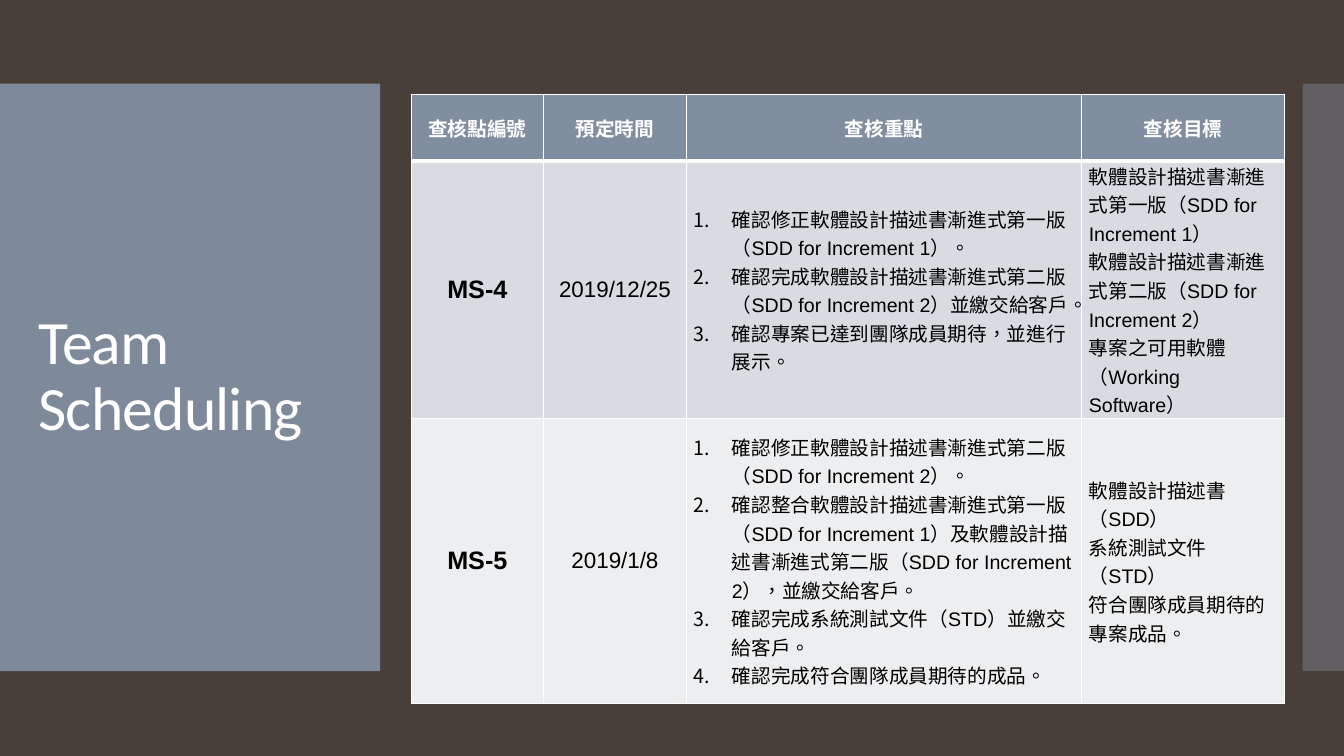
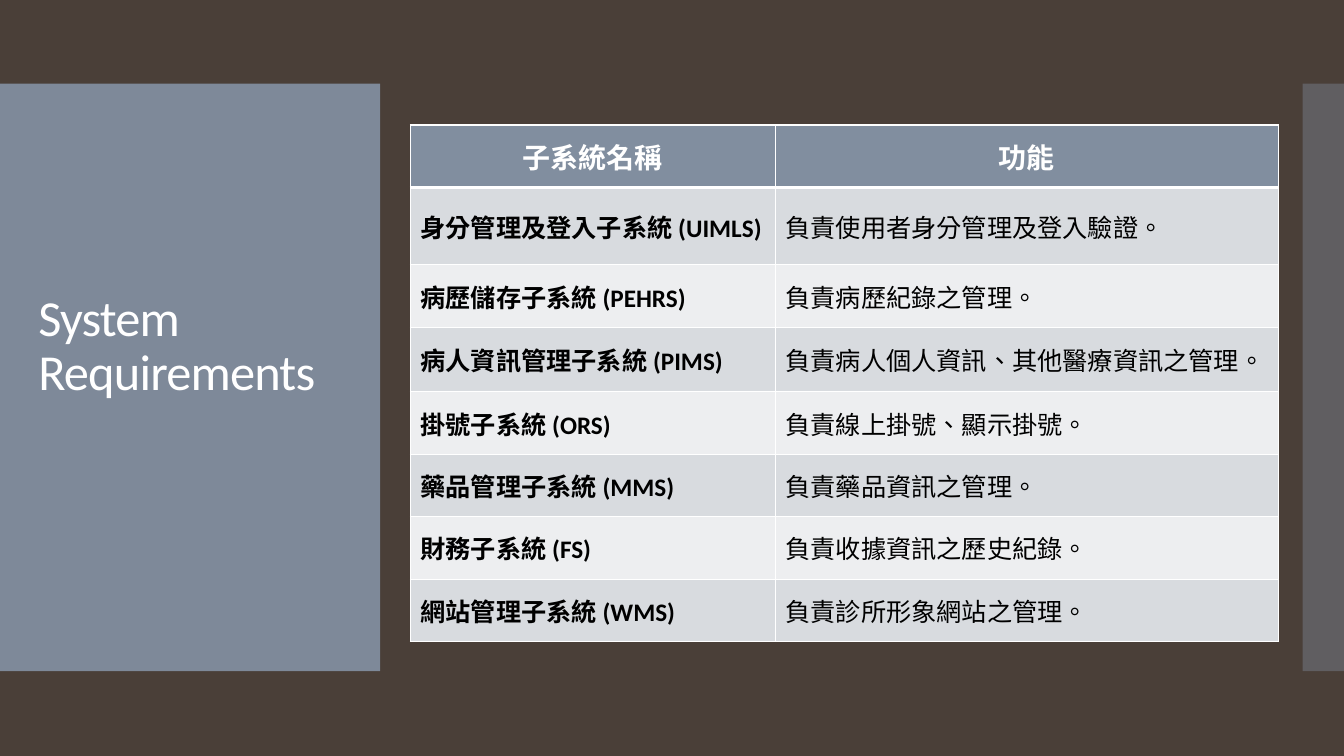
from pptx import Presentation
from pptx.dml.color import RGBColor
from pptx.enum.shapes import MSO_SHAPE
from pptx.enum.text import MSO_ANCHOR, MSO_AUTO_SIZE, PP_ALIGN
from pptx.oxml.ns import qn
from pptx.util import Inches, Pt
from lxml.etree import SubElement

COLORS = {
    "background": "4A3F38",
    "accent": "818E9F",
    "odd_row": "D8DBDF",
    "even_row": "EDEEF0",
    "white": "FFFFFF",
    "black": "000000",
}
BANDS = [
    {"left": 0, "width": 3.77, "opacity": 95},
    {"left": 12.92, "width": 0.42, "opacity": 40},
]
BAND_TOP, BAND_HEIGHT = 0.83, 5.83
TITLE_BOX = {"left": 0.28, "top": 1.23, "width": 3.22, "height": 5.03}
NUMBER_INDENT = 0.38
THIN, THICK = 1, 3

SLIDES = [
    {
        "title": "Team Scheduling",
        "title_size": 44,
        "font": "Arial",
        "header_size": 14,
        "left": 4.08,
        "top": 0.94,
        "margins": {"margin_left": 0.07, "margin_right": 0.07,
                    "margin_top": 0, "margin_bottom": 0},
        "heights": [0.66, 2.06, 2.83],
        "columns": [
            {"width": 1.31, "size": 18, "bold": True, "align": PP_ALIGN.CENTER},
            {"width": 1.42, "size": 16, "align": PP_ALIGN.CENTER},
            {"width": 3.92, "size": 14, "numbered": True},
            {"width": 2.01, "size": 14},
        ],
        "rows": [
            ["查核點編號", "預定時間", "查核重點", "查核目標"],
            [
                "MS-4",
                "2019/12/25",
                ["確認修正軟體設計描述書漸進式第一版（SDD for Increment 1）。",
                 "確認完成軟體設計描述書漸進式第二版（SDD for Increment 2）並繳交給客戶。",
                 "確認專案已達到團隊成員期待，並進行展示。"],
                ["軟體設計描述書漸進式第一版（SDD for Increment 1）",
                 "軟體設計描述書漸進式第二版（SDD for Increment 2）",
                 "專案之可用軟體（Working Software）"],
            ],
            [
                "MS-5",
                "2019/1/8",
                ["確認修正軟體設計描述書漸進式第二版（SDD for Increment 2）。",
                 "確認整合軟體設計描述書漸進式第一版（SDD for Increment 1）"
                 "及軟體設計描述書漸進式第二版（SDD for Increment 2），並繳交給客戶。",
                 "確認完成系統測試文件（STD）並繳交給客戶。",
                 "確認完成符合團隊成員期待的成品。"],
                ["軟體設計描述書（SDD）",
                 "系統測試文件（STD）",
                 "符合團隊成員期待的專案成品。"],
            ],
        ],
    },
    {
        "title": "System Requirements",
        "title_size": 36,
        "title_break": True,
        "font": "Calibri",
        "header_size": 20,
        "left": 4.07,
        "top": 1.24,
        "margins": {},
        "heights": [0.62, 0.62, 0.62, 0.64, 0.62, 0.62, 0.62, 0.62],
        "columns": [
            {"width": 3.62, "size": 18, "bold": True},
            {"width": 4.99, "size": 18},
        ],
        "rows": [
            ["子系統名稱", "功能"],
            ["身分管理及登入子系統 (UIMLS)", "負責使用者身分管理及登入驗證。"],
            ["病歷儲存子系統 (PEHRS)", "負責病歷紀錄之管理。"],
            ["病人資訊管理子系統 (PIMS)", "負責病人個人資訊、其他醫療資訊之管理。"],
            ["掛號子系統 (ORS)", "負責線上掛號、顯示掛號。"],
            ["藥品管理子系統 (MMS)", "負責藥品資訊之管理。"],
            ["財務子系統 (FS)", "負責收據資訊之歷史紀錄。"],
            ["網站管理子系統 (WMS)", "負責診所形象網站之管理。"],
        ],
    },
]


def color(name):
    return RGBColor.from_string(COLORS[name])


def set_attributes(target, values):
    for name, value in values.items():
        setattr(target, name, value)


def add_run(paragraph, text, font_name, size, color_name, bold=False, **extra):
    run = paragraph.add_run()
    run.text = text
    set_attributes(run.font, {"name": font_name, "size": Pt(size), "bold": bold})
    run.font.color.rgb = color(color_name)
    properties = run._r.get_or_add_rPr()
    for name, value in {"lang": "zh-TW", **extra}.items():
        properties.set(name, value)


def add_bands(slide):
    for band in BANDS:
        shape = slide.shapes.add_shape(
            MSO_SHAPE.RECTANGLE, Inches(band["left"]), Inches(BAND_TOP),
            Inches(band["width"]), Inches(BAND_HEIGHT))
        shape.shadow.inherit = False
        shape.line.fill.background()
        shape.fill.solid()
        shape.fill.fore_color.rgb = color("accent")
        fill_color = next(shape.element.spPr.iter(qn("a:srgbClr")))
        SubElement(fill_color, qn("a:alpha")).set("val", str(band["opacity"] * 1000))
        slide.shapes.title.element.addprevious(shape.element)


def format_title(slide, content):
    title = slide.shapes.title
    set_attributes(title, {name: Inches(value) for name, value in TITLE_BOX.items()})
    set_attributes(title.text_frame, {
        "word_wrap": True,
        "auto_size": MSO_AUTO_SIZE.NONE,
        "vertical_anchor": MSO_ANCHOR.MIDDLE,
    })
    paragraph = title.text_frame.paragraphs[0]
    set_attributes(paragraph, {"alignment": PP_ALIGN.LEFT, "line_spacing": 0.9})
    paragraph.font.size = Pt(content["title_size"])
    add_run(paragraph, content["title"], "Calibri", content["title_size"],
            "white", lang="en-US", spc="-60")
    if content.get("title_break"):
        paragraph.add_line_break()
        add_run(paragraph, "", "Calibri", content["title_size"], "white")


def set_borders(cell, row_index):
    widths = {
        "L": THIN,
        "R": THIN,
        "T": THICK if row_index == 1 else THIN,
        "B": THICK if row_index == 0 else THIN,
    }
    properties = cell._tc.get_or_add_tcPr()
    for side, width in widths.items():
        line = SubElement(properties, qn(f"a:ln{side}"), w=str(Pt(width)))
        fill = SubElement(line, qn("a:solidFill"))
        SubElement(fill, qn("a:srgbClr"), val=COLORS["white"])


def number_paragraph(paragraph):
    properties = paragraph._p.get_or_add_pPr()
    properties.set("marL", str(Inches(NUMBER_INDENT)))
    properties.set("indent", str(-Inches(NUMBER_INDENT)))
    SubElement(properties, qn("a:buAutoNum"), type="arabicPeriod")


def fill_cell(cell, value, row_index, column, content):
    is_header = row_index == 0
    set_borders(cell, row_index)
    cell.fill.solid()
    fill_name = "accent" if is_header else ("even_row", "odd_row")[row_index % 2]
    cell.fill.fore_color.rgb = color(fill_name)
    cell.vertical_anchor = MSO_ANCHOR.MIDDLE
    set_attributes(cell, {name: Inches(size)
                          for name, size in content["margins"].items()})
    texts = [value] if isinstance(value, str) else value
    for index, text in enumerate(texts):
        frame = cell.text_frame
        paragraph = frame.add_paragraph() if index else frame.paragraphs[0]
        if is_header:
            paragraph.alignment = PP_ALIGN.CENTER
            add_run(paragraph, text, content["font"], content["header_size"],
                    "white", bold=True)
            continue
        paragraph.alignment = column.get("align", PP_ALIGN.LEFT)
        if column.get("numbered"):
            number_paragraph(paragraph)
        add_run(paragraph, text, content["font"], column["size"], "black",
                bold=column.get("bold", False))


def add_content_table(slide, content):
    columns, heights = content["columns"], content["heights"]
    table = slide.shapes.add_table(
        len(heights), len(columns), Inches(content["left"]), Inches(content["top"]),
        Inches(sum(column["width"] for column in columns)),
        Inches(sum(heights))).table
    for table_column, column in zip(table.columns, columns):
        table_column.width = Inches(column["width"])
    for row_index, (height, values) in enumerate(zip(heights, content["rows"])):
        table.rows[row_index].height = Inches(height)
        for column_index, (column, value) in enumerate(zip(columns, values)):
            fill_cell(table.cell(row_index, column_index), value, row_index,
                      column, content)


def main():
    presentation = Presentation()
    presentation.slide_width = Inches(13.33)
    presentation.slide_height = Inches(7.5)
    background = presentation.slide_master.background.fill
    background.solid()
    background.fore_color.rgb = color("background")
    title_only = presentation.slide_layouts[5]
    for content in SLIDES:
        slide = presentation.slides.add_slide(title_only)
        add_bands(slide)
        format_title(slide, content)
        add_content_table(slide, content)
    presentation.save("out.pptx")


if __name__ == "__main__":
    main()
